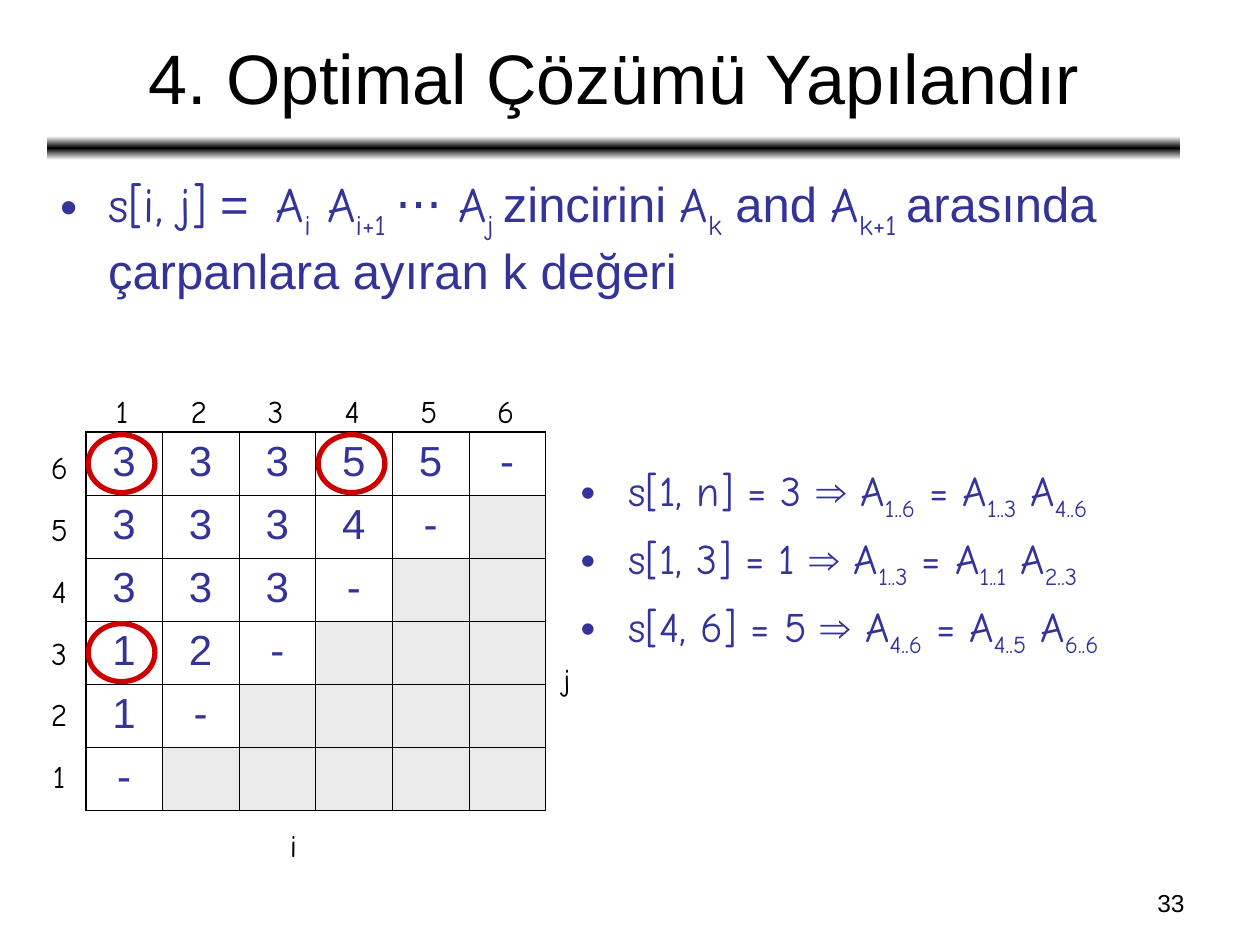
from collections import namedtuple
from copy import deepcopy

from lxml.etree import SubElement
from pptx import Presentation
from pptx.dml.color import RGBColor
from pptx.enum.shapes import MSO_SHAPE
from pptx.enum.text import MSO_ANCHOR, MSO_AUTO_SIZE, PP_ALIGN
from pptx.oxml.ns import qn
from pptx.util import Inches, Pt

BLACK = RGBColor(0x00, 0x00, 0x00)
WHITE = RGBColor(0xFF, 0xFF, 0xFF)
INDIGO = RGBColor(0x33, 0x33, 0x99)
RED = RGBColor(0xCC, 0x00, 0x00)
GRAY = RGBColor(0xEA, 0xEA, 0xEA)

PLAIN = {"name": "Arial"}
MATH = {"name": "Comic Neue"}
SUB = {"name": "Comic Neue", "baseline": "-25000"}

Box = namedtuple("Box", "left top width height")

DEFINITION = [
    (MATH, "s[i, j]"), (PLAIN, " =  "), (MATH, "A"), (SUB, "i"), (MATH, " A"),
    (SUB, "i+1 "), (PLAIN, "⋅⋅⋅"), (MATH, " A"), (SUB, "j "),
    (PLAIN, "zincirini "), (MATH, "A"), (SUB, "k"), (PLAIN, " and "),
    (MATH, "A"), (SUB, "k+1 "), (PLAIN, "arasında çarpanlara ayıran k değeri"),
]
SPLITS = [
    ("s[1, n] = 3 ", "1..6", "1..3", "4..6"),
    ("s[1, 3] = 1 ", "1..3", "1..1", "2..3"),
    ("s[4, 6] = 5 ", "4..6", "4..5", "6..6"),
]
ROWS = ["33355-", "3334-", "333-", "12-", "1-", "-"]
SIZE = len(ROWS)
CIRCLED = [(0, 0), (3, 0), (0, 3)]


def apply(target, values):
    for name, value in values.items():
        setattr(target, name, value)


def add_run(paragraph, text, style, size, color):
    run = paragraph.add_run()
    run.text = text
    apply(run.font, {"name": style["name"], "size": Pt(size)})
    run.font.color.rgb = color
    if "baseline" in style:
        run.font._element.set("baseline", style["baseline"])


def add_text_frame(slide, box, **values):
    frame = slide.shapes.add_textbox(*box).text_frame
    apply(frame, {"word_wrap": True, **values})
    return frame


def add_line_of_text(slide, box, text, style, size, align, **values):
    paragraph = add_text_frame(slide, box, **values).paragraphs[0]
    paragraph.alignment = align
    add_run(paragraph, text, style, size, BLACK)


def add_header(slide, box):
    title_box = Box(box.left, box.top, box.width, Inches(0.99))
    add_line_of_text(slide, title_box, "4. Optimal Çözümü Yapılandır", PLAIN, 40,
                     PP_ALIGN.CENTER, vertical_anchor=MSO_ANCHOR.MIDDLE)
    rule = slide.shapes.add_shape(MSO_SHAPE.ROUNDED_RECTANGLE, box.left,
                                  box.top + Inches(0.97), box.width, Inches(0.19))
    rule.shadow.inherit = False
    rule.line.fill.background()
    rule.fill.gradient()
    rule.fill.gradient_angle = 90
    first = rule._element.spPr.find(".//" + qn("a:gs"))
    first.addnext(deepcopy(first))
    for stop, position, color in zip(rule.fill.gradient_stops, (0, 0.5, 1),
                                     (WHITE, BLACK, WHITE)):
        stop.position = position
        stop.color.rgb = color


def add_bullets(slide, box, items, size, space):
    frame = add_text_frame(slide, box)
    for index, runs in enumerate(items):
        paragraph = frame.add_paragraph() if index else frame.paragraphs[0]
        properties = paragraph._p.get_or_add_pPr()
        properties.set("marL", str(Inches(0.38)))
        properties.set("indent", str(-Inches(0.38)))
        color = SubElement(properties, qn("a:buClr"))
        SubElement(color, qn("a:srgbClr"), val=str(INDIGO))
        SubElement(properties, qn("a:buFont"), typeface="Arial")
        SubElement(properties, qn("a:buChar"), char="•")
        if index:
            paragraph.space_before = Pt(space)
        for style, text in runs:
            add_run(paragraph, text, style, size, INDIGO)


def split_runs(value, whole, left, right):
    return [(MATH, value), (PLAIN, "⇒"), (MATH, " A"), (SUB, whole),
            (MATH, " = A"), (SUB, left), (MATH, " A"), (SUB, right)]


def set_borders(cell, outer_sides):
    properties = cell._tc.get_or_add_tcPr()
    for side in "LRTB":
        width = Pt(1.08) if side in outer_sides else Pt(0.45)
        line = SubElement(properties, qn(f"a:ln{side}"), w=str(width))
        fill = SubElement(line, qn("a:solidFill"))
        SubElement(fill, qn("a:srgbClr"), val=str(BLACK))


def add_split_table(slide, box):
    table = slide.shapes.add_table(SIZE, SIZE, *box).table
    apply(table, {"first_row": False, "horz_banding": False})
    for row in range(SIZE):
        table.rows[row].height = box.height // SIZE
        table.columns[row].width = box.width // SIZE
        for column in range(SIZE):
            cell = table.cell(row, column)
            edges = {"L": column == 0, "R": column == SIZE - 1,
                     "T": row == 0, "B": row == SIZE - 1}
            set_borders(cell, [side for side, outer in edges.items() if outer])
            if column < len(ROWS[row]):
                cell.fill.background()
                paragraph = cell.text_frame.paragraphs[0]
                paragraph.alignment = PP_ALIGN.CENTER
                add_run(paragraph, ROWS[row][column], PLAIN, 24, INDIGO)
            else:
                cell.fill.solid()
                cell.fill.fore_color.rgb = GRAY


def add_axis_label(slide, center, top, text):
    width = Inches(0.33)
    box = Box(center - width // 2, top, width, Inches(0.4))
    add_line_of_text(slide, box, text, MATH, 18, PP_ALIGN.CENTER,
                     word_wrap=False, auto_size=MSO_AUTO_SIZE.SHAPE_TO_FIT_TEXT)


def add_axis_labels(slide, box):
    for index in range(SIZE):
        add_axis_label(slide, box.left + Inches(0.29) + index * box.width // SIZE,
                       box.top - Inches(0.37), str(index + 1))
        add_axis_label(slide, box.left - Inches(0.21),
                       box.top + Inches(0.08 + 0.49 * index), str(SIZE - index))
    add_axis_label(slide, box.left + Inches(1.65), box.top + Inches(3.08), "i")
    add_axis_label(slide, box.left + Inches(3.82), box.top + Inches(1.76), "j")


def add_circles(slide, box):
    for row, column in CIRCLED:
        circle = slide.shapes.add_shape(
            MSO_SHAPE.OVAL,
            box.left + Inches(0.02) + column * box.width // SIZE,
            box.top + Inches(0.02) + row * box.height // SIZE,
            Inches(0.53), Inches(0.46))
        circle.shadow.inherit = False
        circle.fill.background()
        circle.line.color.rgb = RED
        circle.line.width = Pt(3)


def add_split_grid(slide, box):
    add_split_table(slide, box)
    add_axis_labels(slide, box)
    add_circles(slide, box)


def inch_box(*lengths):
    return Box(*map(Inches, lengths))


def main():
    presentation = Presentation()
    apply(presentation, {"slide_width": Inches(10), "slide_height": Inches(7.5)})
    slide = presentation.slides.add_slide(presentation.slide_layouts[6])
    add_header(slide, inch_box(0.37, 0.11, 9, 1.16))
    add_bullets(slide, inch_box(0.38, 1.33, 9, 1.65), [DEFINITION], 28, 7)
    add_split_grid(slide, inch_box(0.68, 3.43, 3.65, 3))
    add_bullets(slide, inch_box(4.51, 3.64, 5.15, 2.37),
                [split_runs(*split) for split in SPLITS], 24, 6)
    add_line_of_text(slide, inch_box(7.17, 7, 2.33, 0.35), "33", PLAIN, 14,
                     PP_ALIGN.RIGHT)
    presentation.save("out.pptx")


if __name__ == "__main__":
    main()
